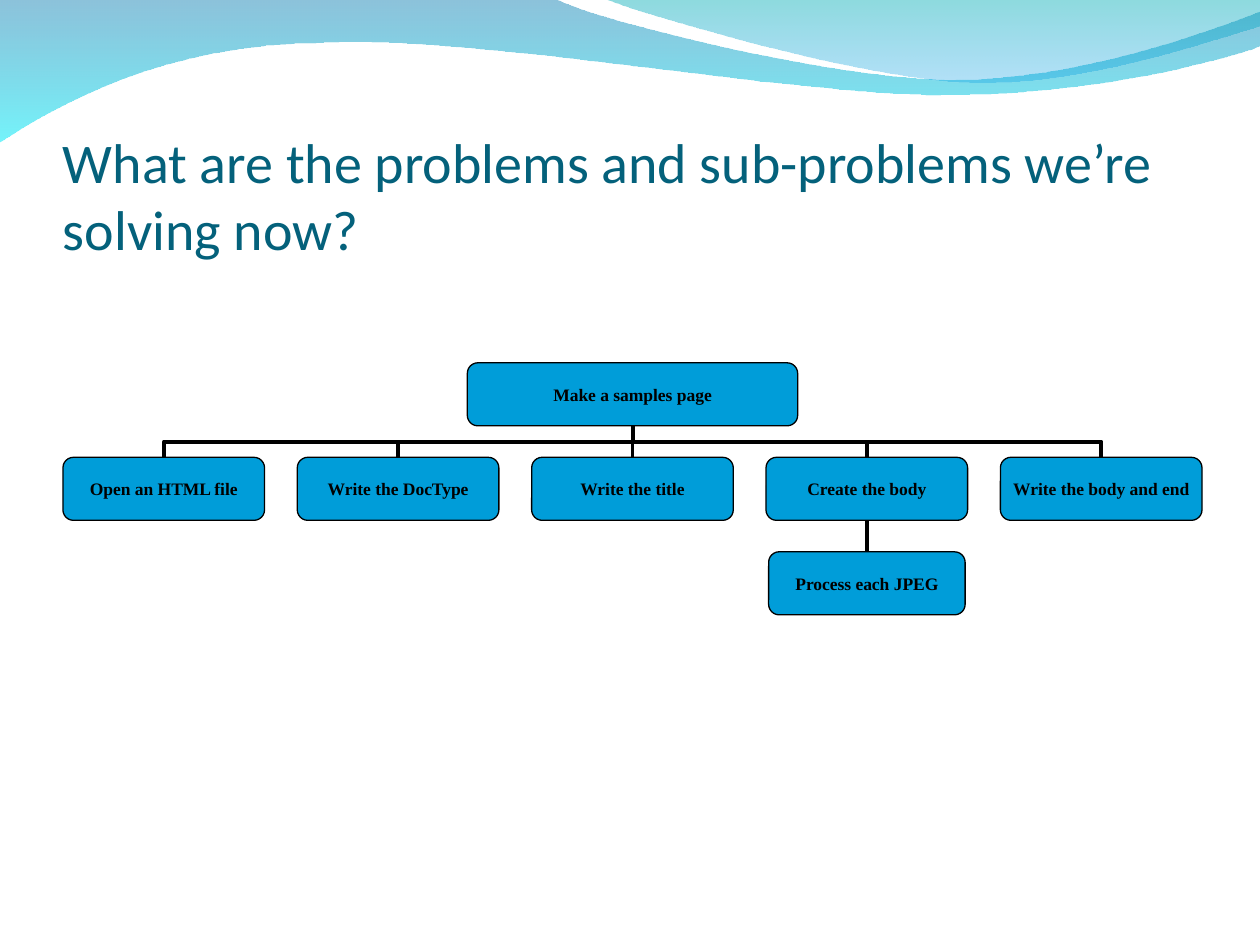
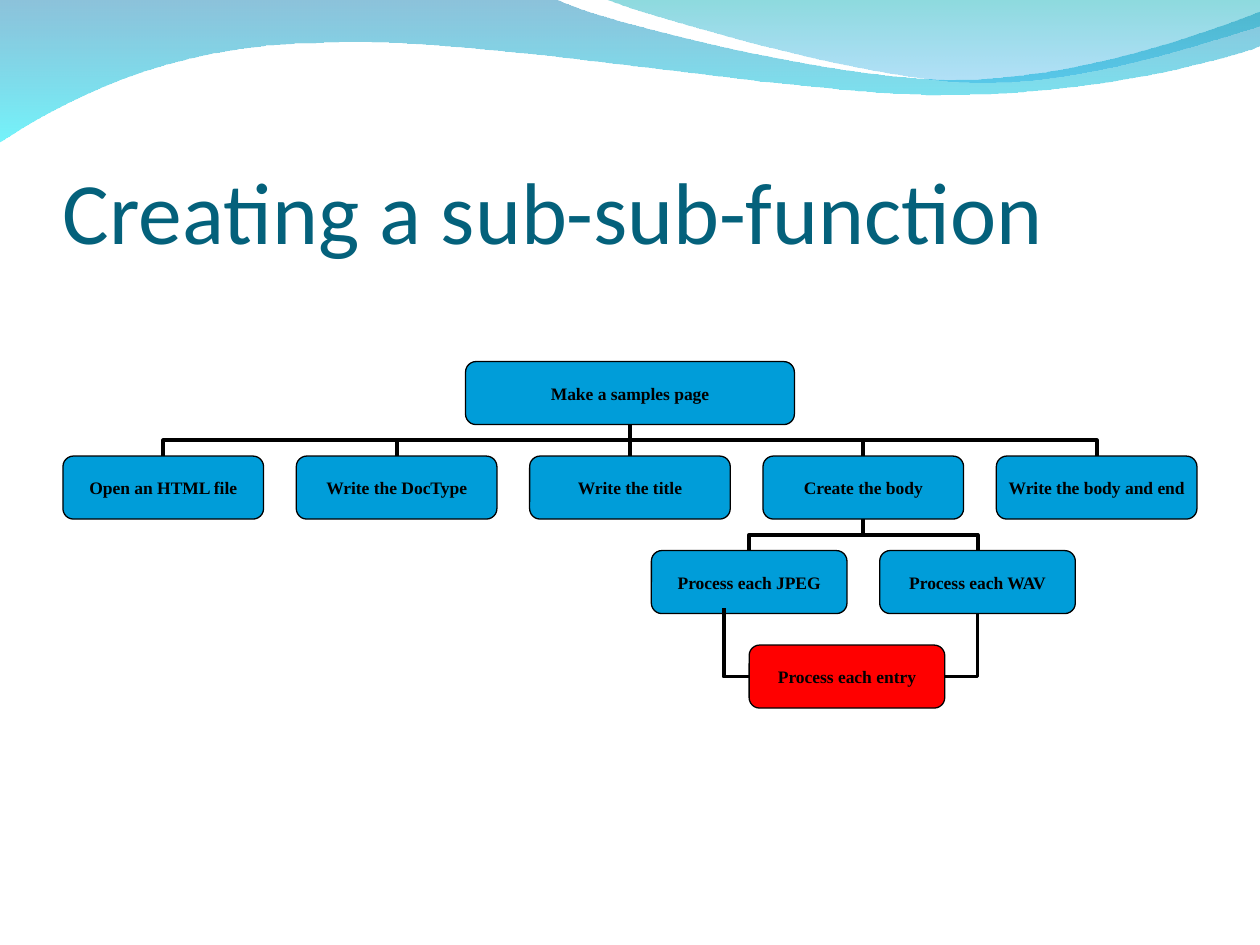
from collections import namedtuple

from lxml.etree import SubElement
from pptx import Presentation
from pptx.dml.color import RGBColor
from pptx.enum.shapes import MSO_CONNECTOR as Link, MSO_SHAPE as Preset
from pptx.enum.text import MSO_ANCHOR as Anchor, PP_ALIGN as Align
from pptx.oxml.ns import qn
from pptx.util import Inches, Pt

Box = namedtuple("Box", "left top width height")

PAGE_WIDTH, PAGE_HEIGHT = 10, 7.5
TITLE_COLOR, INK, BLUE, RED = "04617B", "000000", "009DD9", "FF0000"
TITLE_FONT, CHART_FONT = "Calibri", "Times New Roman"
TITLE_BOX = Box(0.05 * PAGE_WIDTH, 0.83, 0.9 * PAGE_WIDTH, 1.25)

# Chart grid: five columns with a fixed gap, rows of boxes at an even pitch
COLUMNS, GAP = 5, 0.26
ROW_HEIGHT, ROW_PITCH = 0.5, 0.75
ROOT_SHARE, CHILD_SHARE = 0.29, 0.1725

STEPS = ["Open an HTML file", "Write the DocType", "Write the title",
         "Create the body", "Write the body and end"]
BODY = STEPS.index("Create the body")

# Each wave: start point, then lines (one point) and curves (three points);
# gradient stops are colour and opacity in percent
WAVES = [
    ((0, -0.01),
     [[(4.4, -0.01)],
      [(4.76, 0.17), (6.64, 0.63), (7.58, 0.63)],
      [(8.53, 0.63), (9.58, 0.26), (10, 0.09)],
      [(10.01, 0.36)],
      [(9.83, 0.44), (8.7, 0.76), (7.46, 0.75)],
      [(6.22, 0.75), (3.82, 0.28), (2.57, 0.34)],
      [(1.29, 0.35), (0.46, 0.83), (-0.01, 1.13)]],
     [("0079AF", 45), ("00EBF8", 55)]),
    ((4.79, -0.01),
     [[(5.09, 0.11), (6.82, 0.62), (7.69, 0.65)],
      [(8.56, 0.69), (9.61, 0.32), (10, 0.21)],
      [(10, 0)]],
     [("00ADB6", 45), ("009BE5", 30)]),
]


def color(hex_text):
    """Turn a hex string into a colour."""
    return RGBColor.from_string(hex_text)


def inches(*lengths):
    """Convert several lengths in inches."""
    return [Inches(length) for length in lengths]


def center(box):
    """Return the horizontal centre of a box."""
    return box.left + box.width / 2


def bottom(box):
    """Return the lower edge of a box."""
    return box.top + box.height


def bend_segments(shape, segments):
    """Turn the straight pieces that have control points into cubic curves."""
    pieces = list(shape._element.spPr.iter(qn("a:lnTo")))
    for piece, segment in zip(pieces, segments):
        if len(segment) == 1:
            continue
        curve = SubElement(piece.getparent(), qn("a:cubicBezTo"))
        for point in segment:
            x, y = inches(*point)
            spot = SubElement(curve, qn("a:pt"))
            spot.set("x", str(x - shape.left))
            spot.set("y", str(y - shape.top))
        piece.getparent().replace(piece, curve)


def add_wave(page, start, segments, stops):
    """Draw one translucent wave with a vertical gradient."""
    builder = page.shapes.build_freeform(*inches(*start))
    builder.add_line_segments([inches(*segment[-1]) for segment in segments], close=True)
    wave = builder.convert_to_shape()
    bend_segments(wave, segments)
    wave.shadow.inherit = False
    wave.line.fill.background()
    wave.fill.gradient()
    wave.fill.gradient_angle = 270
    for stop, (shade, _) in zip(wave.fill.gradient_stops, stops):
        stop.color.rgb = color(shade)
    shades = list(wave._element.spPr.iter(qn("a:srgbClr")))
    for shade, (_, opacity) in zip(shades, stops):
        SubElement(shade, qn("a:alpha")).set("val", str(opacity * 1000))


def add_text(frame, text, size, font, ink, bold=False, align=Align.LEFT):
    """Write one styled run in the first paragraph of a frame."""
    para = frame.paragraphs[0]
    para.alignment = align
    span = para.add_run()
    span.text = text
    span.font.size, span.font.name, span.font.bold = Pt(size), font, bold
    span.font.color.rgb = color(ink)


def add_title(page, box, text, size):
    """Place the slide title on the bottom of its box."""
    frame = page.shapes.add_textbox(*inches(*box)).text_frame
    frame.word_wrap = True
    frame.vertical_anchor = Anchor.BOTTOM
    frame.margin_left = frame.margin_right = frame.margin_bottom = 0
    add_text(frame, text, size, TITLE_FONT, TITLE_COLOR)


def add_node(page, box, text, fill=BLUE):
    """Draw one rounded box of the chart with its label."""
    node = page.shapes.add_shape(Preset.ROUNDED_RECTANGLE, *inches(*box))
    node.shadow.inherit = False
    node.fill.solid()
    node.fill.fore_color.rgb = color(fill)
    node.line.color.rgb = color(INK)
    node.line.width = Pt(0.75)
    frame = node.text_frame
    frame.word_wrap = False
    frame.vertical_anchor = Anchor.MIDDLE
    add_text(frame, text, 10, CHART_FONT, INK, True, Align.CENTER)


def add_elbow(page, start, end):
    """Draw a bent line that leaves its start horizontally."""
    elbow = page.shapes.add_connector(Link.ELBOW, *inches(*start, *end))
    elbow.line.color.rgb = color(INK)
    elbow.line.width = Pt(2.25)
    SubElement(elbow._element.spPr, qn("a:effectLst"))
    return elbow


def link_up(page, child, parent):
    """Join the top of a child to the bottom of its parent, halfway bent."""
    across = center(parent) - center(child)
    middle_x = center(child) + across / 2
    middle_y = (child.top + bottom(parent)) / 2
    # The elbow is laid out sideways, then turned upright about its centre
    side = 1 if across > 0.005 else -1
    half_length = (child.top - bottom(parent)) / 2 * side
    half_spread = abs(across) / 2
    elbow = add_elbow(page, (middle_x + half_length, middle_y + half_spread),
                      (middle_x - half_length, middle_y - half_spread))
    turn = 90 if side > 0 else 270
    elbow._element.spPr.find(qn("a:xfrm")).set("rot", str(turn * 60000))


def link_corner(page, start, end):
    """Join two points with a single right-angled corner."""
    elbow = add_elbow(page, start, end)
    elbow._element.spPr.find(qn("a:prstGeom")).set("prst", "bentConnector2")


def row_of_boxes(middle, top, width, count):
    """Return equal boxes with the grid gap, centred on a middle line."""
    left = middle - (count * width + (count - 1) * GAP) / 2
    return [Box(left + index * (width + GAP), top, width, ROW_HEIGHT)
            for index in range(count)]


def add_hierarchy(page, area, subtasks, shared=None):
    """Draw the task tree in an area, with an optional shared last step."""
    rows = [area.top + index * ROW_PITCH for index in range(4)]
    column = (area.width - (COLUMNS - 1) * GAP) / COLUMNS
    child_width = CHILD_SHARE * area.width
    root, = row_of_boxes(center(area), rows[0], ROOT_SHARE * area.width, 1)
    steps = row_of_boxes(center(area), rows[1], column, COLUMNS)
    children = row_of_boxes(center(steps[BODY]), rows[2], child_width, len(subtasks))

    for step in steps:
        link_up(page, step, root)
    for child in children:
        link_up(page, child, steps[BODY])
    if shared:
        first, last = children[0], children[-1]
        entry = Box(center(first), rows[3], child_width, ROW_HEIGHT)
        level = entry.top + ROW_HEIGHT / 2
        link_corner(page, (entry.left + entry.width, level), (center(last), bottom(last)))

    add_node(page, root, "Make a samples page")
    for box, text in zip(steps + children, STEPS + subtasks):
        add_node(page, box, text)
    if shared:
        add_node(page, entry, shared, RED)
        link_corner(page, (entry.left, level), (entry.left - 0.2, bottom(first) - 0.04))


def add_page(deck, title, size, chart_top, chart_width, subtasks, shared=None):
    """Build one slide: waves, title and task tree."""
    page = deck.slides.add_slide(deck.slide_layouts[6])
    for wave in WAVES:
        add_wave(page, *wave)
    add_title(page, TITLE_BOX, title, size)
    area = Box(TITLE_BOX.left, chart_top, chart_width, 3 * ROW_PITCH + ROW_HEIGHT)
    add_hierarchy(page, area, subtasks, shared)


deck = Presentation()
deck.slide_width, deck.slide_height = inches(PAGE_WIDTH, PAGE_HEIGHT)
add_page(deck, "What are the problems and sub-problems we’re solving now?", 32,
         2.88, 9.04, ["Process each JPEG"])
add_page(deck, "Creating a sub-sub-function", 50,
         2.87, 9, ["Process each JPEG", "Process each WAV"], "Process each entry")
deck.save("out.pptx")
